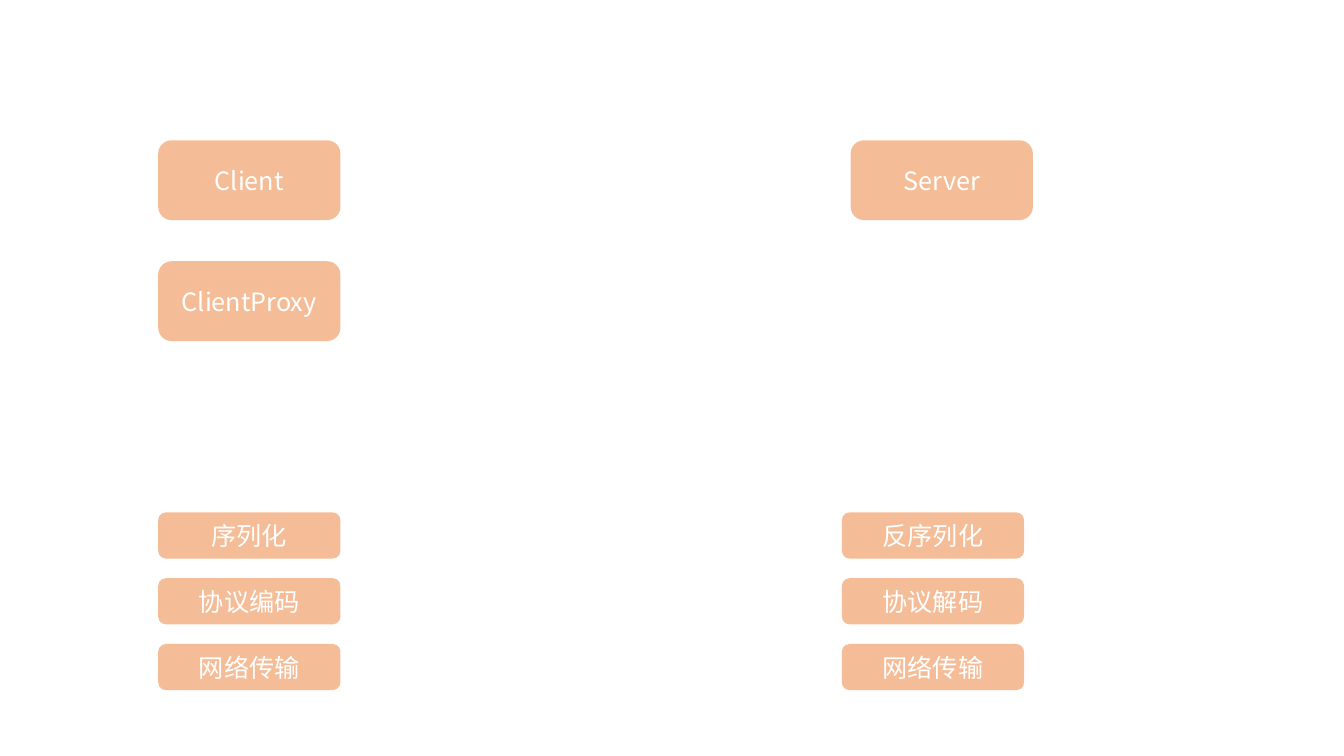
from lxml.etree import SubElement
from pptx import Presentation
from pptx.dml.color import RGBColor
from pptx.enum.shapes import MSO_SHAPE as Shape
from pptx.enum.text import MSO_ANCHOR as Anchor, PP_ALIGN as Align
from pptx.oxml.ns import qn
from pptx.util import Pt

FONT = "Noto Sans CJK SC"
ORANGE = RGBColor(0xED, 0x7D, 0x31)
WHITE = RGBColor(0xFF, 0xFF, 0xFF)

# Each stack: left, top, box height, step, labels from top to bottom
STACKS = [
    (113, 100.2, 57, 86.4, ["Client", "ClientProxy"]),
    (607.6, 100.2, 57, 86.4, ["Server"]),
    (113, 366, 33, 47, ["序列化", "协议编码", "网络传输"]),
    (601.3, 366, 33, 47, ["反序列化", "协议解码", "网络传输"]),
]
WIDTH = 130.2


def add_box(slide, text, left, top, width, height, size=18, color=WHITE, fill=ORANGE, alpha=50):
    box = slide.shapes.add_shape(
        Shape.ROUNDED_RECTANGLE, Pt(left), Pt(top), Pt(width), Pt(height))
    box.shadow.inherit = False
    box.line.fill.background()
    box.fill.solid()
    box.fill.fore_color.rgb = fill
    tone = box._element.spPr.find(qn("a:solidFill"))[0]
    SubElement(tone, qn("a:alpha"), val=str(alpha * 1000))

    frame = box.text_frame
    frame.word_wrap = True
    frame.vertical_anchor = Anchor.MIDDLE
    para = frame.paragraphs[0]
    para.alignment = Align.CENTER
    run = para.add_run()
    run.text = text
    run.font.size = Pt(size)
    run.font.color.rgb = color
    run.font.name = FONT
    SubElement(run.font._element, qn("a:ea"), typeface=FONT)


def main():
    deck = Presentation()
    deck.slide_width, deck.slide_height = Pt(960), Pt(540)
    slide = deck.slides.add_slide(deck.slide_layouts[6])
    for left, top, height, step, labels in STACKS:
        for row, label in enumerate(labels):
            add_box(slide, label, left, top + row * step, WIDTH, height)
    deck.save("out.pptx")


if __name__ == "__main__":
    main()
